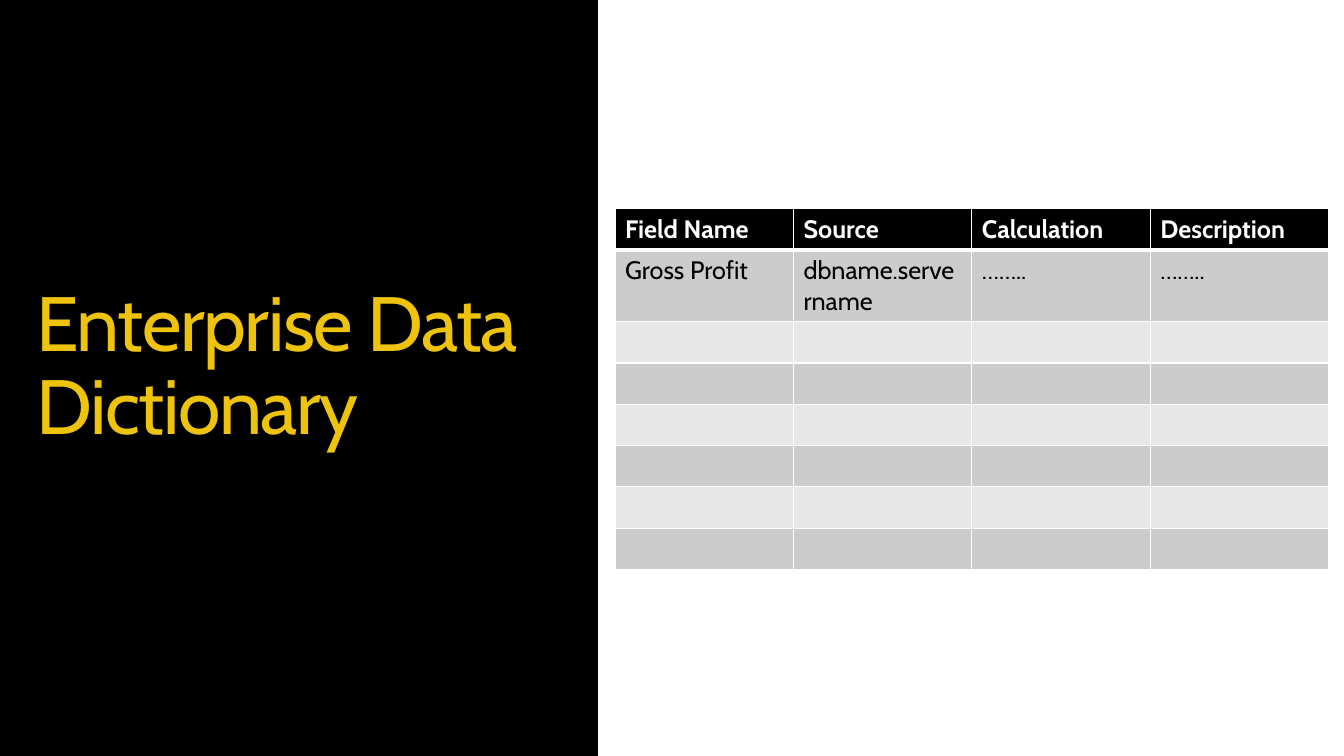
from lxml import etree
from pptx import Presentation
from pptx.dml.color import RGBColor
from pptx.enum import shapes, text
from pptx.oxml import ns
from pptx.util import Inches, Pt

# Content
TITLE = "Enterprise Data Dictionary"
HEADERS = ["Field Name", "Source", "Calculation", "Description"]
ENTRIES = [["Gross Profit", "dbname.servername", "……..", "…….."]]
BLANK_ROWS = 6

FONT = "Cabin"
BLACK = RGBColor(0x00, 0x00, 0x00)
WHITE = RGBColor(0xFF, 0xFF, 0xFF)
GOLD = RGBColor(0xED, 0xC3, 0x0D)
BANDS = [RGBColor(0xCC, 0xCC, 0xCC), RGBColor(0xE7, 0xE7, 0xE7)]

COL_W = 1.77
ROW_H = 0.41
WRAPPED_ROW_H = 0.7


def add_run(p, content, size, color, bold=False):
    r = p.add_run()
    r.text = content
    r.font.name = FONT
    r.font.size = Pt(size)
    r.font.bold = bold
    r.font.color.rgb = color
    return r


def set_borders(cell, color, bottom):
    tc_pr = cell._tc.get_or_add_tcPr()
    widths = {"lnL": 1, "lnR": 1, "lnT": 1, "lnB": bottom}
    for i, (tag, width) in enumerate(widths.items()):
        ln = etree.Element(ns.qn("a:" + tag), w=str(Pt(width)))
        fill = etree.SubElement(ln, ns.qn("a:solidFill"))
        etree.SubElement(fill, ns.qn("a:srgbClr"), val=str(color))
        tc_pr.insert(i, ln)


prs = Presentation()
prs.slide_width, prs.slide_height = Inches(13.33), Inches(7.5)
s = prs.slides.add_slide(prs.slide_layouts[5])

# Black panel, behind the title
panel = s.shapes.add_shape(shapes.MSO_SHAPE.RECTANGLE, 0, 0, Inches(5.93), prs.slide_height)
panel.shadow.inherit = False
panel.fill.solid()
panel.fill.fore_color.rgb = BLACK
panel.line.fill.background()
s.shapes._spTree.insert(2, panel._element)

# Title
title = s.shapes.title
title.left, title.top = Inches(0.2), Inches(2.29)
title.width, title.height = Inches(5.52), Inches(2.72)
tf = title.text_frame
tf.word_wrap = True
tf.auto_size = text.MSO_AUTO_SIZE.NONE
tf.vertical_anchor = text.MSO_ANCHOR.MIDDLE
tf.margin_left = tf.margin_right = Inches(0.16)
tf.margin_top = tf.margin_bottom = Inches(0.1)
p = tf.paragraphs[0]
p.alignment = text.PP_ALIGN.LEFT
p.line_spacing = 0.9
r = add_run(p, TITLE, 55, GOLD)
r.font._element.set("spc", "-100")

# Dictionary table
rows = [HEADERS] + ENTRIES + [[""] * len(HEADERS)] * BLANK_ROWS
heights = [ROW_H] + [WRAPPED_ROW_H] * len(ENTRIES) + [ROW_H] * BLANK_ROWS
table = s.shapes.add_table(
    len(rows), len(HEADERS), Inches(6.1), Inches(2.07),
    Inches(COL_W * len(HEADERS)), Inches(sum(heights))).table
for col in table.columns:
    col.width = Inches(COL_W)
for i, (values, height) in enumerate(zip(rows, heights)):
    header = i == 0
    table.rows[i].height = Inches(height)
    for j, value in enumerate(values):
        cell = table.cell(i, j)
        cell.fill.solid()
        cell.fill.fore_color.rgb = BLACK if header else BANDS[(i - 1) % 2]
        set_borders(cell, WHITE, bottom=3 if header else 1)
        if i == 1:
            cell._tc.tcPr.find(ns.qn("a:lnT")).set("w", str(Pt(3)))
        if value:
            add_run(cell.text_frame.paragraphs[0], value, 18,
                    WHITE if header else BLACK, bold=header)

prs.save("out.pptx")
